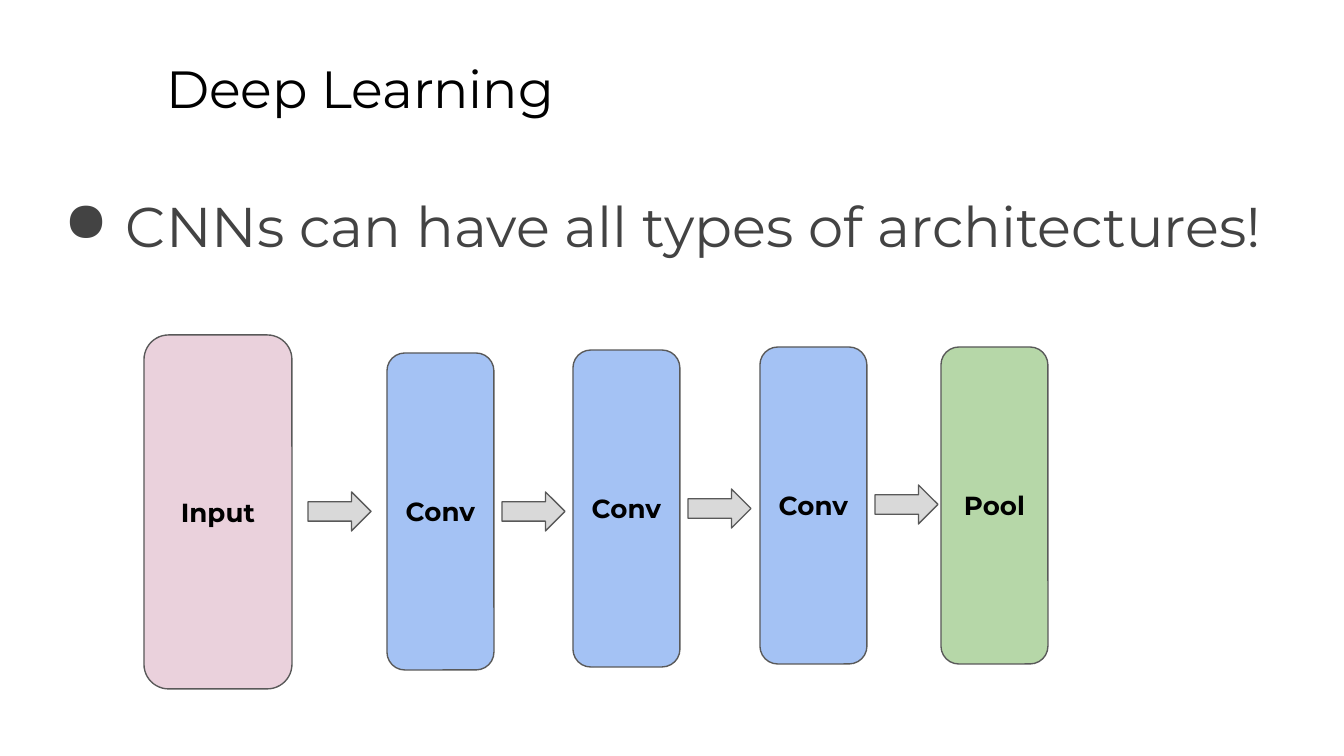
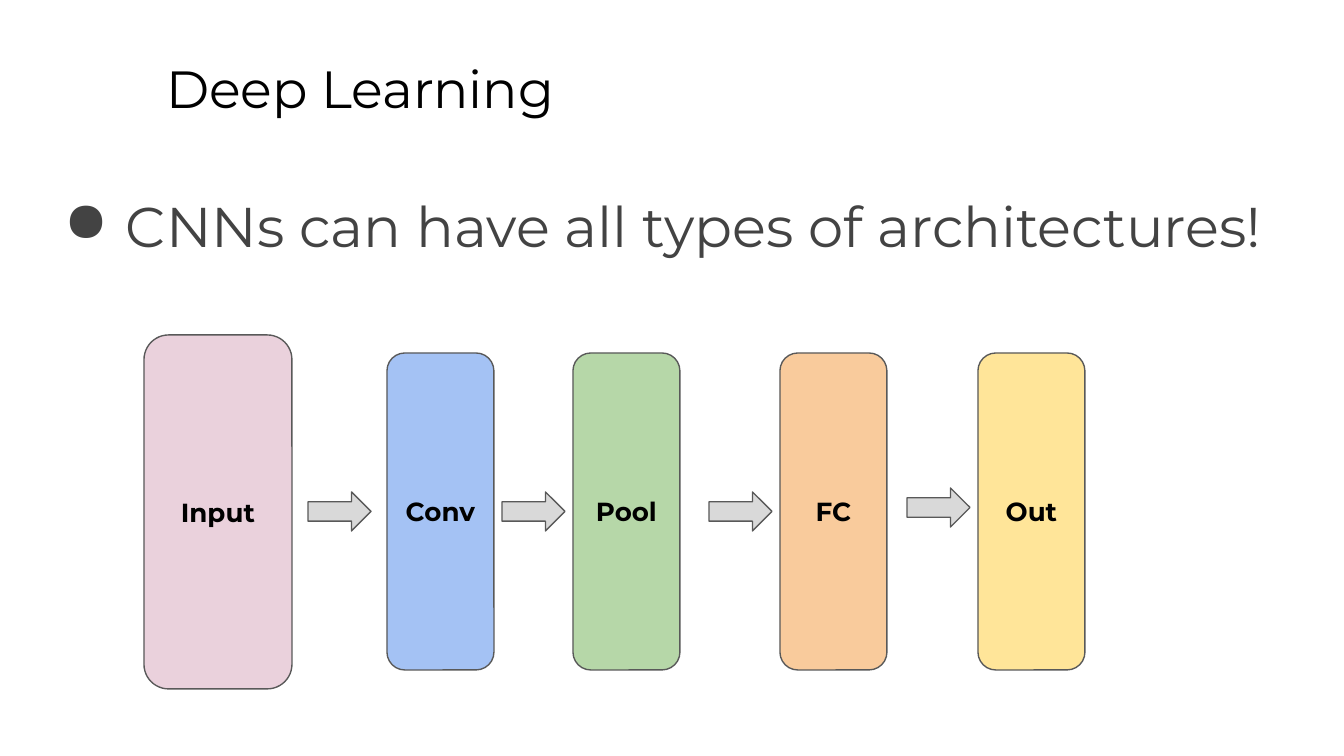
from lxml import etree
from pptx import Presentation
from pptx.dml.color import RGBColor
from pptx.enum.shapes import MSO_SHAPE
from pptx.enum.text import MSO_ANCHOR, PP_ALIGN
from pptx.oxml.ns import qn
from pptx.util import Pt

PX = 914400 / 134.4  # EMU per px
BOX, ARROW = MSO_SHAPE.ROUNDED_RECTANGLE, MSO_SHAPE.RIGHT_ARROW
TOP, MIDDLE = MSO_ANCHOR.TOP, MSO_ANCHOR.MIDDLE
LEFT, CENTER = PP_ALIGN.LEFT, PP_ALIGN.CENTER

BLACK = RGBColor(0x00, 0x00, 0x00)
WHITE = RGBColor(0xFF, 0xFF, 0xFF)
TEXT = RGBColor(0x43, 0x43, 0x43)
OUTLINE = RGBColor(0x59, 0x59, 0x59)
GRAY = RGBColor(0xD9, 0xD9, 0xD9)
PINK = RGBColor(0xEA, 0xD1, 0xDC)
BLUE = RGBColor(0xA4, 0xC2, 0xF4)
GREEN = RGBColor(0xB6, 0xD7, 0xA8)
ORANGE = RGBColor(0xF9, 0xCB, 0x9C)
YELLOW = RGBColor(0xFF, 0xE5, 0x99)

TITLE_FONT = {"name": "Montserrat", "size": Pt(28), "bold": False}
BODY_FONT = {**TITLE_FONT, "size": Pt(30)}
LABEL_FONT = {**TITLE_FONT, "size": Pt(14), "bold": True}

INSET = 13
LAYER_W, LAYER_H = 107, 317
ARROW_W, ARROW_H = 63, 39
INPUT = ("Input", PINK, 144, 335, 148, 354)

# Layers after the input: label, fill, left, top, then left and top of the arrow into it
NETWORKS = [
    [("Conv", BLUE, 387, 353, 308, 492),
     ("Conv", BLUE, 573, 350, 502, 492),
     ("Conv", BLUE, 760, 347, 688, 489),
     ("Pool", GREEN, 941, 347, 875, 485)],
    [("Conv", BLUE, 387, 353, 308, 492),
     ("Pool", GREEN, 573, 353, 502, 492),
     ("FC", ORANGE, 780, 353, 709, 492),
     ("Out", YELLOW, 978, 353, 907, 488)],
]


def add_text(sp, text, font, color, align=LEFT, anchor=TOP):
    tf = sp.text_frame
    tf.word_wrap = True
    tf.vertical_anchor = anchor
    for side in ("left", "top", "right", "bottom"):
        setattr(tf, f"margin_{side}", round(INSET * PX))
    p = tf.paragraphs[0]
    p.alignment = align
    r = p.add_run()
    r.text = text
    for key, value in font.items():
        setattr(r.font, key, value)
    r.font.color.rgb = color
    return p


def add_block(s, kind, fill, *box):
    sp = s.shapes.add_shape(kind, *(round(v * PX) for v in box))
    sp.shadow.inherit = False
    sp.fill.solid()
    sp.fill.fore_color.rgb = fill
    sp.line.color.rgb = OUTLINE
    sp.line.width = Pt(0.75)
    return sp


prs = Presentation()
prs.slide_width, prs.slide_height = round(1344 * PX), round(756 * PX)

for layers in NETWORKS:
    s = prs.slides.add_slide(prs.slide_layouts[6])
    s.background.fill.solid()
    s.background.fill.fore_color.rgb = WHITE

    # Title
    sp = s.shapes.add_textbox(*(round(v * PX) for v in (153, 43, 1145, 85)))
    add_text(sp, "Deep Learning", TITLE_FONT, BLACK)

    # Bullet
    sp = s.shapes.add_textbox(*(round(v * PX) for v in (46, 169, 1253, 503)))
    p = add_text(sp, "CNNs can have all types of architectures!", BODY_FONT, TEXT)
    p.line_spacing = 1.15
    pPr = p._p.get_or_add_pPr()
    pPr.set("marL", str(round(67 * PX)))
    pPr.set("indent", str(round(-62 * PX)))
    buClr = etree.SubElement(pPr, qn("a:buClr"))
    etree.SubElement(buClr, qn("a:srgbClr"), val=str(TEXT))
    etree.SubElement(pPr, qn("a:buChar"), char="●")

    # Network: input, then each layer with its arrow
    blocks = [INPUT] + [(*layer[:4], LAYER_W, LAYER_H) for layer in layers]
    for label, fill, *box in blocks:
        sp = add_block(s, BOX, fill, *box)
        add_text(sp, label, LABEL_FONT, BLACK, CENTER, MIDDLE)
    for *_, x, y in layers:
        add_block(s, ARROW, GRAY, x, y, ARROW_W, ARROW_H)

prs.save("out.pptx")
